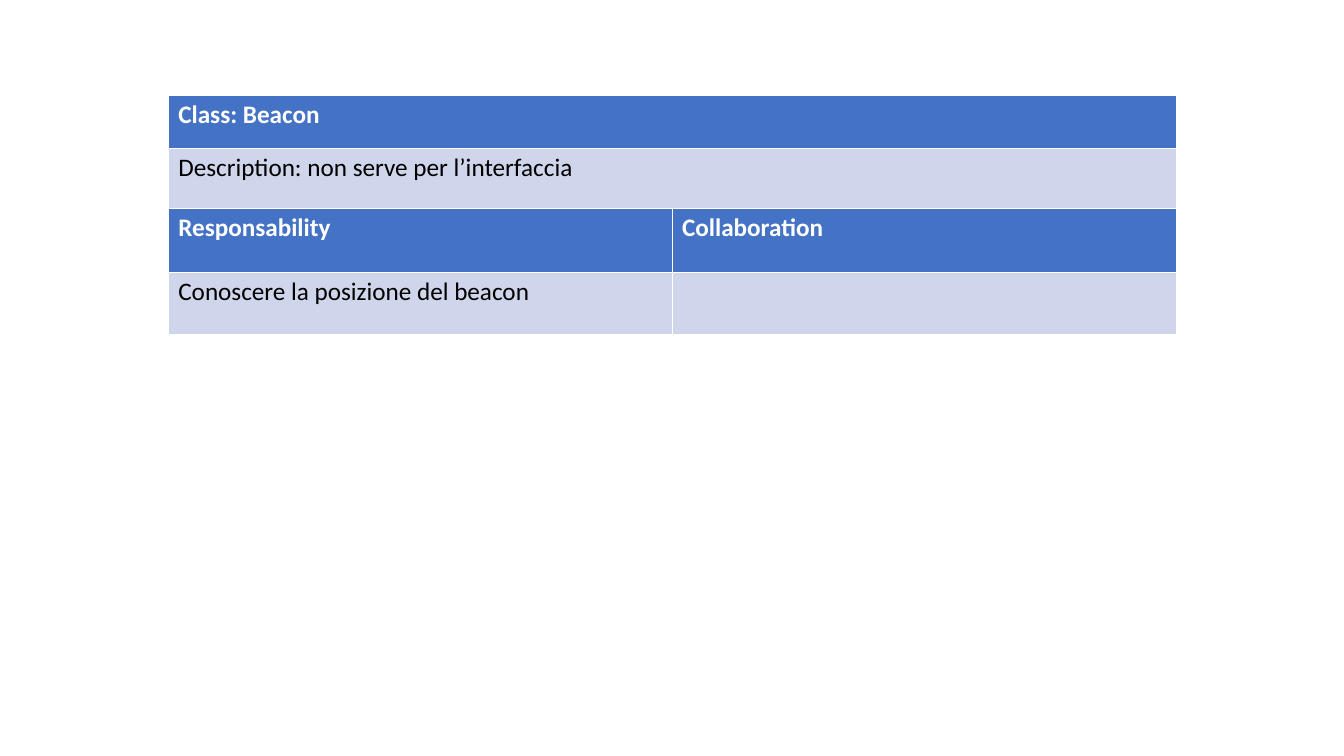
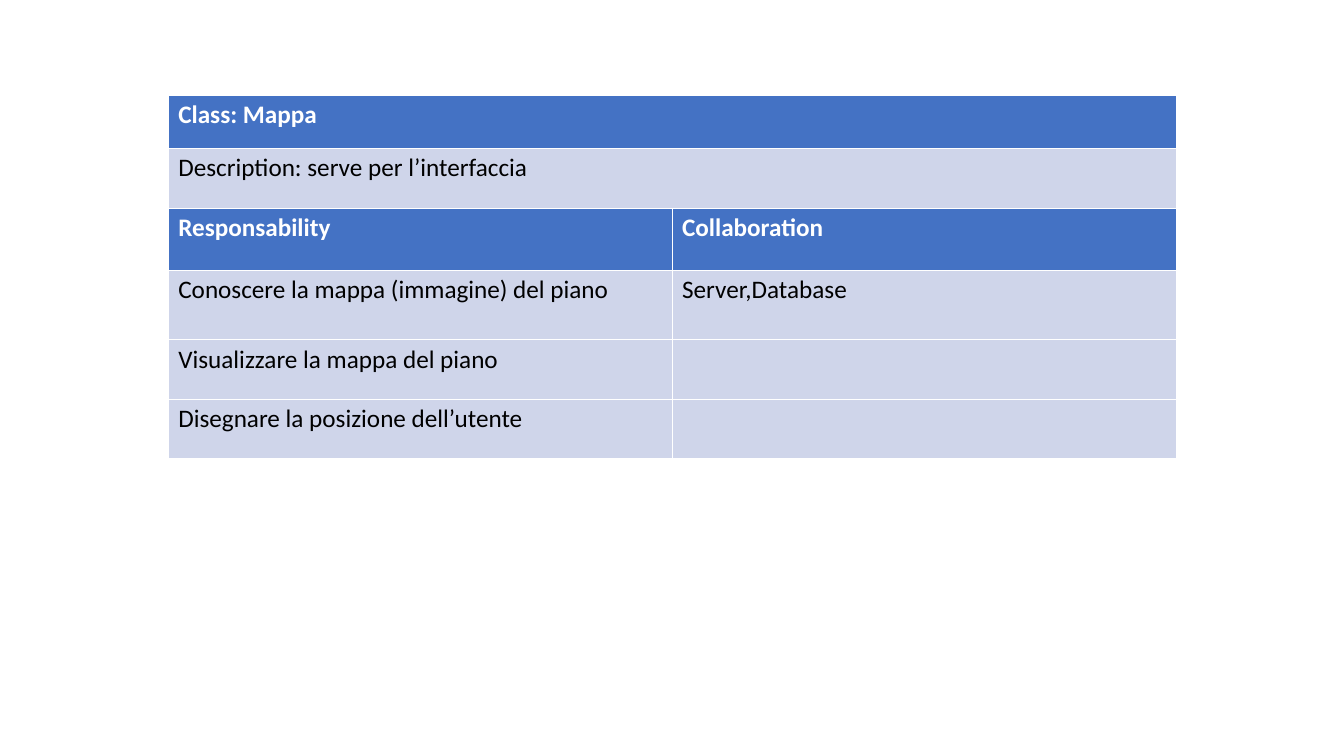
from dataclasses import dataclass

from lxml import etree
from pptx import Presentation
from pptx import util as u
from pptx.dml.color import RGBColor
from pptx.oxml import ns

PX = u.Inches(1) // 100


@dataclass(frozen=True)
class Theme:
    """Colours, type and line widths shared by the class cards."""
    heading_fill: str = "4472C4"
    body_fill: str = "CFD5EA"
    heading_text: str = "FFFFFF"
    body_text: str = "000000"
    border: str = "FFFFFF"
    font: str = "Calibri"
    size: int = 18
    line_spacing: float = 0.96
    outer_line: float = 0.11
    row_line: float = 0.34


THEME = Theme()
SLIDE_SIZE = (1334, 750)
CARD_BOX = (167, 94, 1000)
SUMMARY_HEIGHTS = (53, 59)
DUTY_TITLES = ("Responsability", "Collaboration")

CARDS = [
    {
        "summary": ("Class: Beacon", "Description: non serve per l’interfaccia"),
        "duties": [("Conoscere la posizione del beacon", "")],
        "heights": (64, 61),
    },
    {
        "summary": ("Class: Mappa", "Description: serve per l’interfaccia"),
        "duties": [
            ("Conoscere la mappa (immagine) del piano", "Server,Database"),
            ("Visualizzare la mappa del piano", ""),
            ("Disegnare la posizione dell’utente", ""),
        ],
        "heights": (62, 69, 59, 59),
    },
]


def set_border(cell, side, width):
    """Draw one solid border on a cell."""
    line = etree.SubElement(cell._tc.get_or_add_tcPr(), ns.qn(f"a:ln{side}"),
                            w=str(u.Pt(width)))
    fill = etree.SubElement(line, ns.qn("a:solidFill"))
    etree.SubElement(fill, ns.qn("a:srgbClr"), val=THEME.border)


def style_cell(cell, wording, is_heading, is_last):
    """Fill a cell and set its wording as heading or body."""
    top = THEME.outer_line if is_heading else THEME.row_line
    bottom = THEME.outer_line if is_last else THEME.row_line
    for side, width in (("L", THEME.outer_line), ("R", THEME.outer_line),
                        ("T", top), ("B", bottom)):
        set_border(cell, side, width)
    cell.fill.solid()
    cell.fill.fore_color.rgb = RGBColor.from_string(
        THEME.heading_fill if is_heading else THEME.body_fill)
    paragraph = cell.text_frame.paragraphs[0]
    paragraph.text = wording
    paragraph.line_spacing = THEME.line_spacing
    for run in paragraph.runs:
        run.font.name = THEME.font
        run.font.size = u.Pt(THEME.size)
        run.font.bold = is_heading
        run.font.color.rgb = RGBColor.from_string(
            THEME.heading_text if is_heading else THEME.body_text)


def add_grid(slide, box, rows, heights):
    """Add a table with a heading row and return its bottom edge."""
    left, top, width = box
    columns = len(rows[0])
    height = sum(heights)
    grid = slide.shapes.add_table(len(rows), columns, left * PX, top * PX,
                                  width * PX, height * PX).table
    grid.horz_banding = False
    for column in grid.columns:
        column.width = width * PX // columns
    for index, (wordings, row_height) in enumerate(zip(rows, heights)):
        grid.rows[index].height = row_height * PX
        for cell, wording in zip(grid.rows[index].cells, wordings):
            style_cell(cell, wording, index == 0, index == len(rows) - 1)
    return top + height


def add_class_card(slide, box, card):
    """Stack the class summary and its responsibilities in the box."""
    left, top, width = box
    summary = [(line,) for line in card["summary"]]
    duties_top = add_grid(slide, box, summary, SUMMARY_HEIGHTS)
    add_grid(slide, (left, duties_top, width),
             [DUTY_TITLES, *card["duties"]], card["heights"])


def main():
    """Build one slide for each class card."""
    deck = Presentation()
    deck.slide_width, deck.slide_height = (side * PX for side in SLIDE_SIZE)
    blank = deck.slide_layouts[6]
    for card in CARDS:
        add_class_card(deck.slides.add_slide(blank), CARD_BOX, card)
    deck.save("out.pptx")


if __name__ == "__main__":
    main()
